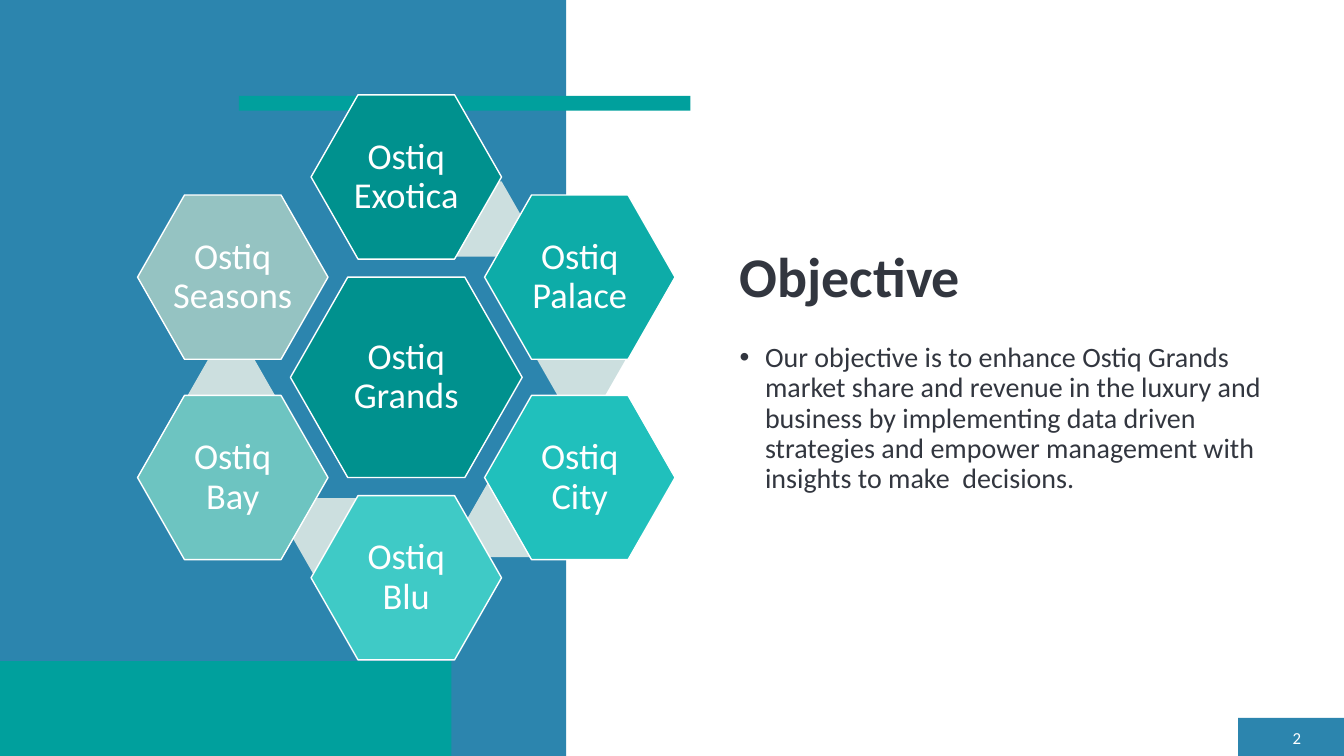
from math import cos, radians, sin

from pptx import Presentation
from pptx.dml.color import RGBColor
from pptx.enum.shapes import MSO_SHAPE
from pptx.enum.text import MSO_ANCHOR, PP_ALIGN
from pptx.oxml import parse_xml
from pptx.oxml.ns import nsdecls
from pptx.util import Cm, Pt

BLUE = RGBColor(0x2C, 0x85, 0xAE)
TEAL = RGBColor(0x00, 0xA0, 0x9D)
DARK_TEAL = RGBColor(0x00, 0x91, 0x8E)
PALE_TEAL = RGBColor(0xCC, 0xDF, 0xDF)
INK = RGBColor(0x32, 0x36, 0x3F)
WHITE = RGBColor(0xFF, 0xFF, 0xFF)

# Clockwise from the top: name, fill, accent offset from the hub centre in cm
HOTELS = [
    ("Ostiq Exotica", DARK_TEAL, (1.84, -3.99)),
    ("Ostiq Palace", RGBColor(0x0D, 0xAC, 0xA8), (4.41, -0.43)),
    ("Ostiq City", RGBColor(0x20, 0xC0, 0xBC), (2.63, 3.58)),
    ("Ostiq Blu", RGBColor(0x3F, 0xCA, 0xC6), (-1.79, 3.99)),
    ("Ostiq Bay", RGBColor(0x6D, 0xC4, 0xC1), (-4.41, 0.46)),
    ("Ostiq Seasons", RGBColor(0x95, 0xC3, 0xC2), None),
]
RING_RADIUS = 5.05
HUB_SIZE = (5.84, 5.05)
HOTEL_SIZE = (4.8, 4.14)
ACCENT_SIZE = (2.21, 1.9)
OBJECTIVE = (
    "Our objective is to enhance Ostiq Grands market share and revenue in the "
    "luxury and business by implementing data driven strategies and empower "
    "management with insights to make  decisions."
)


def set_attributes(target, values):
    for name, value in values.items():
        setattr(target, name, value)


def add_filled_shape(slide, kind, box, color):
    shape = slide.shapes.add_shape(kind, *map(Cm, box))
    shape.shadow.inherit = False
    shape.fill.solid()
    shape.fill.fore_color.rgb = color
    shape.line.fill.background()
    return shape


def write_text(shape, text, size, color, frame_format, paragraph_format, bold=False):
    frame = shape.text_frame
    set_attributes(frame, {"word_wrap": True, **frame_format})
    paragraph = frame.paragraphs[0]
    set_attributes(paragraph, paragraph_format)
    run = paragraph.add_run()
    run.text = text
    set_attributes(run.font, {"name": "Calibri", "size": Pt(size), "bold": bold})
    run.font.color.rgb = color
    return paragraph


def add_text_box(slide, box, *text_arguments, **options):
    text_box = slide.shapes.add_textbox(*map(Cm, box))
    return write_text(text_box, *text_arguments, **options)


def add_hexagon(slide, center, size, color, text=None):
    (x, y), (width, height) = center, size
    box = (x - width / 2, y - height / 2, width, height)
    hexagon = add_filled_shape(slide, MSO_SHAPE.HEXAGON, box, color)
    hexagon.adjustments[0] = 0.286
    if text:
        hexagon.line.color.rgb = WHITE
        hexagon.line.width = Pt(1)
        margins = dict.fromkeys(
            ("margin_left", "margin_right", "margin_top", "margin_bottom"), Cm(0.08)
        )
        write_text(
            hexagon, text, 26, WHITE,
            {"vertical_anchor": MSO_ANCHOR.MIDDLE, **margins},
            {"alignment": PP_ALIGN.CENTER, "line_spacing": 0.9},
        )


def add_backdrop(slide, width, height):
    panel_width, block_width = 14.27, 11.38
    footer_width, footer_height = 2.67, 0.96
    block_height = 2.39
    bands = [
        ((width - footer_width, height - footer_height, footer_width, footer_height), BLUE),
        ((0, 0, panel_width, height), BLUE),
        ((0, height - block_height, block_width, block_height), TEAL),
        ((6.02, 2.42, block_width, 0.37), TEAL),
    ]
    for box, color in bands:
        add_filled_shape(slide, MSO_SHAPE.RECTANGLE, box, color)


def add_hotel_ring(slide, center_x, center_y):
    add_hexagon(slide, (center_x, center_y), HUB_SIZE, DARK_TEAL, "Ostiq Grands")
    for index, (name, color, accent) in enumerate(HOTELS):
        if accent:
            accent_center = (center_x + accent[0], center_y + accent[1])
            add_hexagon(slide, accent_center, ACCENT_SIZE, PALE_TEAL)
        angle = radians(60 * index - 90)
        center = (center_x + RING_RADIUS * cos(angle), center_y + RING_RADIUS * sin(angle))
        add_hexagon(slide, center, HOTEL_SIZE, color, name)


def add_objective(slide, left, top, width):
    add_text_box(
        slide, (left, top, width, 4.32), "Objective", 40, INK,
        {"vertical_anchor": MSO_ANCHOR.BOTTOM}, {"line_spacing": 0.9}, bold=True,
    )
    paragraph = add_text_box(
        slide, (left, top + 4.92, width, 7.11), OBJECTIVE, 20, INK,
        {}, {"line_spacing": 0.9, "space_before": Pt(10)},
    )
    properties = paragraph._p.get_or_add_pPr()
    properties.set("marL", str(Cm(0.64)))
    properties.set("indent", str(Cm(-0.64)))
    for bullet in ('<a:buFont {} typeface="Arial"/>', '<a:buChar {} char="•"/>'):
        properties.append(parse_xml(bullet.format(nsdecls("a"))))


def add_page_number(slide, box):
    add_text_box(
        slide, box, "2", 12, WHITE,
        {"vertical_anchor": MSO_ANCHOR.MIDDLE}, {"alignment": PP_ALIGN.RIGHT},
    )


def main():
    width, height = 33.87, 19.05
    presentation = Presentation()
    set_attributes(presentation, {"slide_width": Cm(width), "slide_height": Cm(height)})
    slide = presentation.slides.add_slide(presentation.slide_layouts[6])
    add_backdrop(slide, width, height)
    add_objective(slide, 18.39, 3.61, 14.66)
    add_page_number(slide, (32, 18.29, 1.04, 0.58))
    add_hotel_ring(slide, 10.24, 9.51)
    presentation.save("out.pptx")


if __name__ == "__main__":
    main()
